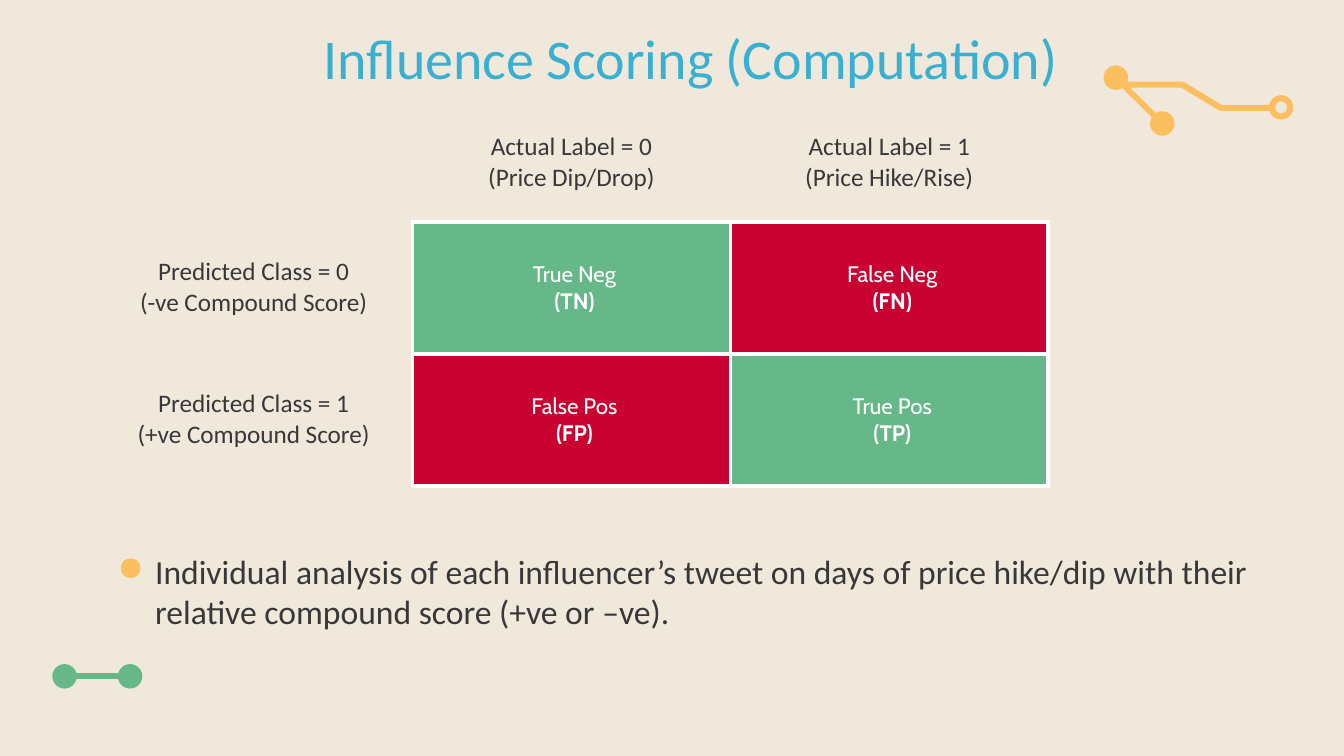
from dataclasses import dataclass
from typing import Optional

from lxml.etree import SubElement
from pptx import Presentation
from pptx.dml.color import RGBColor
from pptx.enum.shapes import MSO_CONNECTOR, MSO_SHAPE
from pptx.enum.text import MSO_ANCHOR, PP_ALIGN
from pptx.oxml.ns import qn
from pptx.util import Pt


@dataclass(frozen=True)
class Theme:
    background: str = "F1E8DC"
    ink: str = "383838"
    white: str = "FFFFFF"
    title: str = "39B0D1"
    amber: str = "FBBF60"
    green: str = "66B888"
    red: str = "C90231"
    text_font: str = "Calibri"
    cell_font: str = "Cabin"
    title_size: int = 40
    body_size: int = 24
    label_size: int = 18
    cell_size: int = 16
    border_width: float = 3
    stroke: float = 4.2


@dataclass(frozen=True)
class Style:
    font: str
    size: int
    color: str


@dataclass(frozen=True)
class Cell:
    name: str
    detail: str
    fill: Optional[str] = None


@dataclass(frozen=True)
class Node:
    x: float
    y: float
    color: str
    shape: MSO_SHAPE = MSO_SHAPE.OVAL


@dataclass(frozen=True)
class Link:
    start: Node
    end: Node


THEME = Theme()
TITLE = Style(THEME.text_font, THEME.title_size, THEME.title)
BODY = Style(THEME.text_font, THEME.body_size, THEME.ink)
LABEL = Style(THEME.text_font, THEME.label_size, THEME.ink)
OUTCOME = Style(THEME.cell_font, THEME.cell_size, THEME.white)

# Confusion matrix: labels around four outcomes
MATRIX = [
    [None,
     Cell("Actual Label = 0", "(Price Dip/Drop)"),
     Cell("Actual Label = 1", "(Price Hike/Rise)")],
    [Cell("Predicted Class = 0", "(-ve Compound Score)"),
     Cell("True Neg", "(TN)", THEME.green),
     Cell("False Neg", "(FN)", THEME.red)],
    [Cell("Predicted Class = 1", "(+ve Compound Score)"),
     Cell("False Pos", "(FP)", THEME.red),
     Cell("True Pos", "(TP)", THEME.green)],
]
COLUMN_WIDTH = 227
ROW_HEIGHTS = [85, 94.3, 94.3]

# Circuit ornaments
NODE_SIZE = 17.5
AMBER_HUB = Node(797, 55.5, THEME.amber)
AMBER_BRANCH = Node(830.2, 88.2, THEME.amber)
AMBER_RING = Node(915.1, 76.7, THEME.amber, MSO_SHAPE.DONUT)
GREEN_LEFT = Node(46.1, 483.1, THEME.green)
GREEN_RIGHT = Node(92.9, 483.1, THEME.green)
NODES = [AMBER_HUB, AMBER_BRANCH, AMBER_RING, GREEN_LEFT, GREEN_RIGHT]
LINKS = [Link(AMBER_HUB, AMBER_BRANCH), Link(GREEN_LEFT, GREEN_RIGHT)]
TRACE = [(802, 58.3), (802, 62.6), (843.8, 62.6), (871.2, 79.2),
         (909.4, 79.2), (909.4, 74.9), (872.6, 74.9), (845.3, 58.3)]


def rgb(color: str) -> RGBColor:
    return RGBColor.from_string(color)


def add_span(para, text: str, style: Style, bold: bool = False) -> None:
    span = para.add_run()
    span.text = text
    span.font.name = style.font
    span.font.size = Pt(style.size)
    span.font.color.rgb = rgb(style.color)
    span.font.bold = bold


def indent(para, left: float, first: float = 0):
    properties = para._p.get_or_add_pPr()
    properties.set("marL", str(Pt(left)))
    properties.set("indent", str(Pt(first)))
    return properties


def add_text(page, left: float, top: float, width: float, height: float,
             text: str, style: Style):
    box = page.shapes.add_textbox(Pt(left), Pt(top), Pt(width), Pt(height))
    frame = box.text_frame
    frame.word_wrap = True
    frame.margin_left = frame.margin_right = Pt(7.2)
    frame.margin_top = frame.margin_bottom = Pt(7.2)
    add_span(frame.paragraphs[0], text, style)
    return frame.paragraphs[0]


def paint(shape, color: str) -> None:
    shape.shadow.inherit = False
    shape.fill.solid()
    shape.fill.fore_color.rgb = rgb(color)
    shape.line.fill.background()


def draw_ornaments(page) -> None:
    builder = page.shapes.build_freeform(Pt(TRACE[0][0]), Pt(TRACE[0][1]))
    builder.add_line_segments([(Pt(x), Pt(y)) for x, y in TRACE[1:]], close=True)
    paint(builder.convert_to_shape(), THEME.amber)
    for link in LINKS:
        line = page.shapes.add_connector(
            MSO_CONNECTOR.STRAIGHT, Pt(link.start.x), Pt(link.start.y),
            Pt(link.end.x), Pt(link.end.y))
        line.line.width = Pt(THEME.stroke)
        line.line.color.rgb = rgb(link.start.color)
        SubElement(line._element.spPr, qn("a:effectLst"))
    for node in NODES:
        dot = page.shapes.add_shape(
            node.shape, Pt(node.x - NODE_SIZE / 2), Pt(node.y - NODE_SIZE / 2),
            Pt(NODE_SIZE), Pt(NODE_SIZE))
        paint(dot, node.color)


def set_borders(cell, row: int, column: int) -> None:
    # Outcome cells are framed; labels share only the edge facing them
    framed = row > 0 and column > 0
    visible = {"L": framed, "T": framed,
               "R": framed or (row > 0 and column == 0),
               "B": framed or (row == 0 and column > 0)}
    properties = cell._tc.get_or_add_tcPr()
    for side in "LRTB":
        line = SubElement(properties, qn(f"a:ln{side}"),
                          w=str(Pt(THEME.border_width)))
        if visible[side]:
            solid = SubElement(line, qn("a:solidFill"))
            SubElement(solid, qn("a:srgbClr"), val=THEME.white)
        else:
            SubElement(line, qn("a:noFill"))


def fill_cell(cell, content: Optional[Cell]) -> None:
    cell.vertical_anchor = MSO_ANCHOR.MIDDLE
    cell.margin_left = cell.margin_right = Pt(9.4)
    cell.margin_top = cell.margin_bottom = Pt(9.4)
    if content is None or content.fill is None:
        cell.fill.background()
    else:
        cell.fill.solid()
        cell.fill.fore_color.rgb = rgb(content.fill)
    if content is None:
        return
    outcome = content.fill is not None
    style = OUTCOME if outcome else LABEL
    frame = cell.text_frame
    lines = [(frame.paragraphs[0], content.name, False),
             (frame.add_paragraph(), content.detail, outcome)]
    for para, text, bold in lines:
        para.alignment = PP_ALIGN.CENTER
        if outcome:
            indent(para, 4.3)
        add_span(para, text, style, bold)


def draw_matrix(page) -> None:
    table = page.shapes.add_table(
        len(MATRIX), len(MATRIX[0]), Pt(67.7), Pt(73.4),
        Pt(COLUMN_WIDTH * len(MATRIX[0])), Pt(sum(ROW_HEIGHTS))).table
    table.first_row = table.horz_banding = False
    for column in table.columns:
        column.width = Pt(COLUMN_WIDTH)
    for row, height in zip(table.rows, ROW_HEIGHTS):
        row.height = Pt(height)
    for row, contents in enumerate(MATRIX):
        for column, content in enumerate(contents):
            cell = table.cell(row, column)
            set_borders(cell, row, column)
            fill_cell(cell, content)


def main() -> None:
    deck = Presentation()
    deck.slide_width, deck.slide_height = Pt(960), Pt(540)
    page = deck.slides.add_slide(deck.slide_layouts[6])
    page.background.fill.solid()
    page.background.fill.fore_color.rgb = rgb(THEME.background)

    draw_ornaments(page)

    # Bulleted takeaway
    takeaway = add_text(
        page, 67.7, 386, 849, 362,
        "Individual analysis of each influencer’s tweet on days of price "
        "hike/dip with their relative compound score (+ve or –ve).", BODY)
    properties = indent(takeaway, 36, -27)
    color = SubElement(properties, qn("a:buClr"))
    SubElement(color, qn("a:srgbClr"), val=THEME.amber)
    SubElement(properties, qn("a:buChar"), char="●")

    # Title and matrix
    add_text(page, 224, 9.5, 810, 60.5, "Influence Scoring (Computation)", TITLE)
    draw_matrix(page)
    deck.save("out.pptx")


if __name__ == "__main__":
    main()
